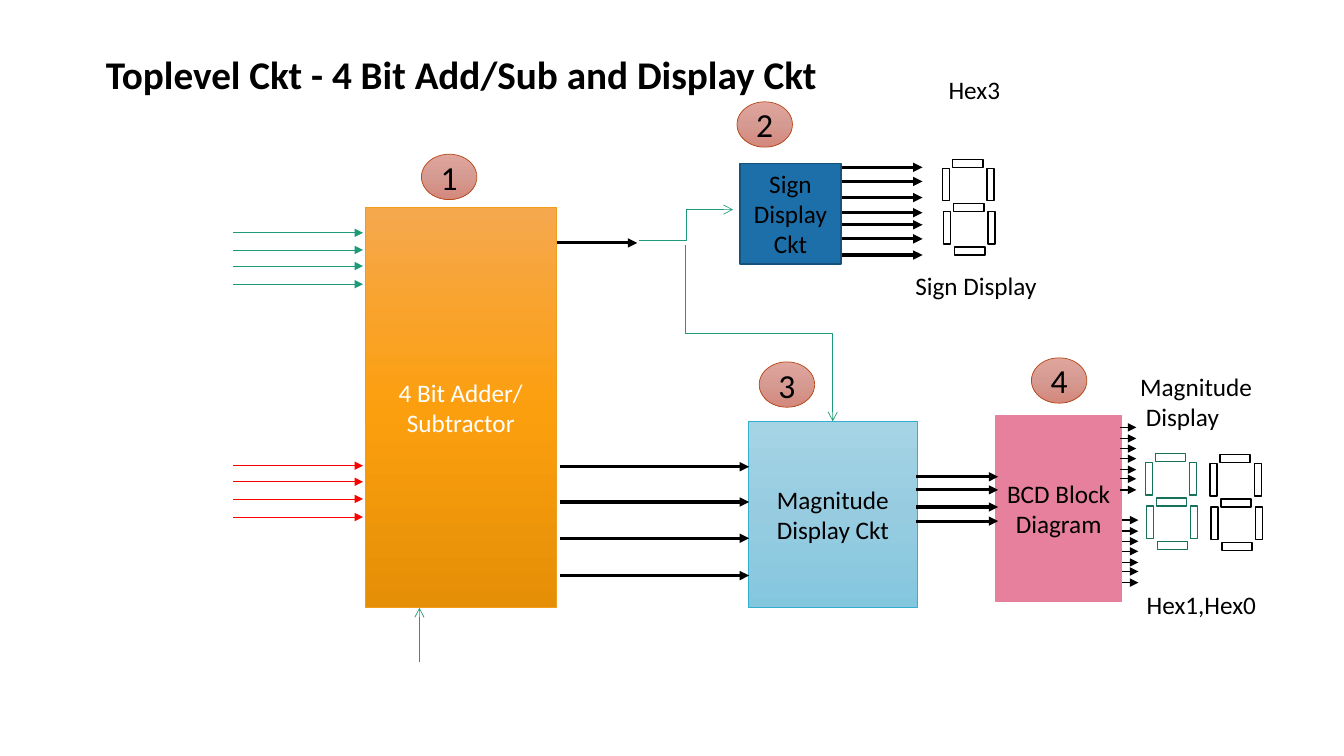
from lxml import etree
from pptx import Presentation, util as u
from pptx.dml.color import RGBColor
from pptx.enum import shapes, text
from pptx.oxml.ns import qn

PX = 9144
BLACK, WHITE, GREEN, RED = "000000", "FFFFFF", "1D9A78", "FF0000"
DARK_GREEN = "157259"
ORANGE = ("F5A84E", "FC9F0E", "E58F07")
SKY = ("A5D4E5", "97CCE0", "83C7DF")
ROSE = ("E0A69E", "D59A91", "D4887C")


def px(n):
    return u.Emu(round(n * PX))


def rgb(color):
    return RGBColor.from_string(color)


class Diagram:
    font = "Calibri"
    size = 18

    def __init__(self, prs):
        self.s = prs.slides.add_slide(prs.slide_layouts[5])

    def add_lines(self, tf, lines, color=BLACK, size=None, bold=False,
                  align=text.PP_ALIGN.LEFT, anchor=text.MSO_ANCHOR.TOP):
        tf.vertical_anchor = anchor
        for i, line in enumerate(lines):
            p = tf.add_paragraph() if i else tf.paragraphs[0]
            p.alignment = align
            r = p.add_run()
            r.text = line
            r.font.name = self.font
            r.font.size = u.Pt(size or self.size)
            r.font.bold = bold
            r.font.color.rgb = rgb(color)

    def title(self, x, y, w, h, line):
        sp = self.s.shapes.title
        sp.left, sp.top, sp.width, sp.height = map(px, (x, y, w, h))
        sp.text_frame.auto_size = text.MSO_AUTO_SIZE.NONE
        self.add_lines(sp.text_frame, [line], size=28, bold=True)

    def label(self, x, y, w, h, *lines):
        sp = self.s.shapes.add_textbox(*map(px, (x, y, w, h)))
        sp.text_frame.word_wrap = True
        self.add_lines(sp.text_frame, lines)

    def gradient(self, fill, colors):
        fill.gradient()
        fill.gradient_angle = 270
        stops = fill._xPr.find(qn("a:gradFill")).find(qn("a:gsLst"))
        for gs in list(stops):
            stops.remove(gs)
        for i, color in enumerate(colors):
            gs = etree.SubElement(stops, qn("a:gs"), pos=str(i * 50000))
            etree.SubElement(gs, qn("a:srgbClr"), val=color)

    def block(self, x, y, w, h, fill, line=None, width=1, lines=(), color=BLACK,
              size=None, kind=shapes.MSO_SHAPE.RECTANGLE):
        sp = self.s.shapes.add_shape(kind, *map(px, (x, y, w, h)))
        sp.shadow.inherit = False
        if isinstance(fill, tuple):
            self.gradient(sp.fill, fill)
        else:
            sp.fill.solid()
            sp.fill.fore_color.rgb = rgb(fill)
        if line:
            sp.line.color.rgb = rgb(line)
            sp.line.width = u.Pt(width)
        else:
            sp.line.fill.background()
        self.add_lines(sp.text_frame, lines, color, size, align=text.PP_ALIGN.CENTER,
                       anchor=text.MSO_ANCHOR.MIDDLE)
        return sp

    def badge(self, x, y, number):
        sp = self.block(x, y, 55, 45, ROSE, "B74919", 0.5, [number], size=24,
                        kind=shapes.MSO_SHAPE.OVAL)
        tf = sp.text_frame
        tf.margin_left = tf.margin_right = tf.margin_top = tf.margin_bottom = 0

    def arrow(self, x1, y1, x2, y2, color=BLACK, width=2.25, head="triangle",
              kind=shapes.MSO_CONNECTOR.STRAIGHT):
        c = self.s.shapes.add_connector(kind, *map(px, (x1, y1, x2, y2)))
        c.line.color.rgb = rgb(color)
        c.line.width = u.Pt(width)
        etree.SubElement(c.line._get_or_add_ln(), qn("a:tailEnd"), type=head)
        etree.SubElement(c._element.spPr, qn("a:effectLst"))
        return c

    def elbow(self, x1, y1, x2, y2, color, vertical=False):
        if vertical:
            cx, cy = (x1 + x2) / 2, (y1 + y2) / 2
            x1, y1, x2, y2 = cx + cy - y1, cy + x1 - cx, cx + cy - y2, cy + x2 - cx
        c = self.arrow(x1, y1, x2, y2, color, 0.5, "arrow", shapes.MSO_CONNECTOR.ELBOW)
        if vertical:
            c._element.spPr.find(qn("a:xfrm")).set("rot", "16200000")

    def bus(self, x1, x2, rows, color=BLACK, width=2.25):
        for y in rows:
            self.arrow(x1, y, x2, y, color, width)

    def digit(self, x, y, line):
        for i in range(3):
            self.block(x + i, y + round(43.5 * i), 30, 8, WHITE, line)
        for i in range(2):
            for dx in (-10, 34):
                self.block(x + dx + i, y + 9 + 43 * i, 7, 32, WHITE, line)


def main():
    prs = Presentation()
    prs.slide_width, prs.slide_height = px(1333), px(750)
    d = Diagram(prs)
    d.title(95, 45, 803, 57, "Toplevel Ckt - 4 Bit Add/Sub and Display Ckt")

    d.block(362, 206, 190, 397, ORANGE, "F19D19", 0.5,
            ["4 Bit Adder/", "Subtractor"], WHITE)
    d.block(734, 162, 100, 100, "1D6FA9", "15527D", 1, ["Sign Display", "Ckt"])
    d.block(742, 418, 168, 185, SKY, "36AFCE", 0.5, ["Magnitude Display Ckt"])
    d.block(988, 412, 124, 185, "E6809D", "E6809D", 1, ["BCD Block Diagram"])
    d.block(1114, 558, 155, 84, WHITE, lines=["Hex1,Hex0"])

    d.bus(231, 360, (231, 248, 264, 282), GREEN, 0.5)
    d.bus(231, 360, (462, 478, 495, 513), RED, 0.5)
    d.bus(552, 632, (241,))
    d.bus(555, 743, (463, 498, 534, 571))
    d.bus(835, 915, (166, 180, 196, 211, 223, 237, 253))
    d.bus(909, 990, (473, 486, 503, 517))
    segment_rows = (424, 435, 445, 455, 466, 475, 486)
    d.bus(1111, 1127, segment_rows, width=1)
    d.bus(1113, 1129, [y + 92 for y in segment_rows], width=1)
    d.arrow(416, 657, 416, 603, GREEN, 0.5, "arrow")
    d.elbow(634, 239, 727, 208, GREEN)
    d.elbow(680, 243, 826, 418, GREEN, vertical=True)

    d.label(898, 263, 160, 40, "Sign Display")
    d.label(1121, 363, 160, 71, "Magnitude", " Display")
    d.label(931, 69, 100, 40, "Hex3")

    for number, (x, y) in enumerate(((418, 153), (731, 101), (753, 359), (1023, 355)), 1):
        d.badge(x, y, str(number))
    for x, y, line in ((1146, 450, DARK_GREEN), (1210, 451, BLACK), (945, 158, BLACK)):
        d.digit(x, y, line)

    prs.save("out.pptx")


if __name__ == "__main__":
    main()
